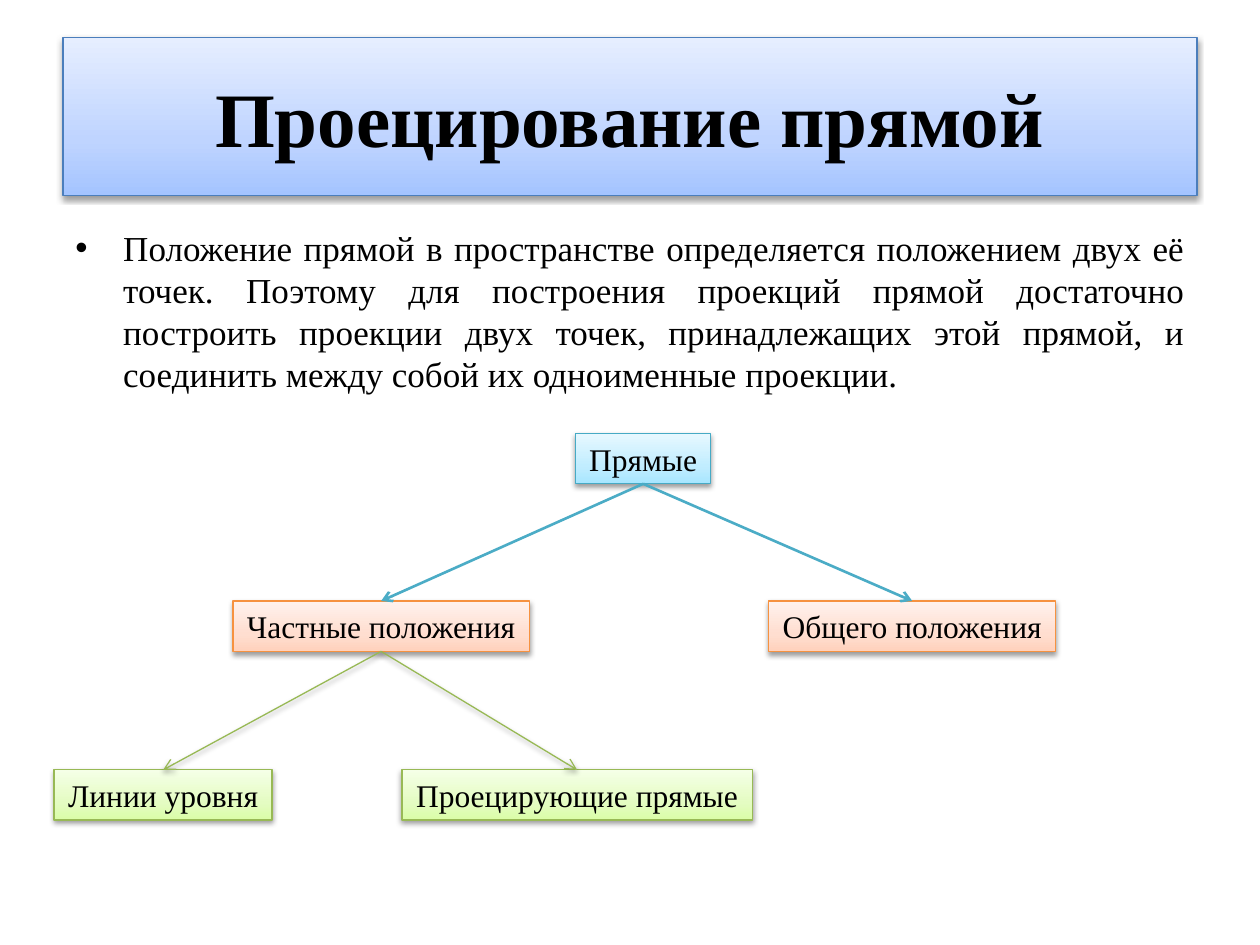
from copy import deepcopy

from lxml.etree import SubElement
from pptx import Presentation
from pptx.dml.color import RGBColor
from pptx.enum.shapes import MSO_CONNECTOR as Connector, MSO_SHAPE as Shape
from pptx.enum.text import MSO_ANCHOR as Anchor, MSO_AUTO_SIZE as AutoSize, PP_ALIGN as Align
from pptx.oxml.ns import qn
from pptx.util import Inches, Pt

# Each palette: line colour, then the gradient from bottom to top
COLORS = {
    "text": "000000",
    "blue": ["4B7EBC", "A4C4FF", "BFD4FF", "E6EEFF"],
    "aqua": ["46AAC5", "A7E6FF", "C1EDFF", "E7F8FF"],
    "orange": ["F69240", "FFD2BD", "FFDED0", "FFF2ED"],
    "green": ["98B955", "DAFDA7", "E4FCC2", "F5FFE7"],
    "aqua arrow": "4BACC6",
    "green arrow": "98B955",
}
STOPS = [0, 0.35, 1]


def add_effects(item, shadow=True):
    effects = SubElement(item._element.spPr, qn("a:effectLst"))
    if shadow:
        outer = SubElement(effects, qn("a:outerShdw"), blurRad=str(Pt(3.1)),
                           dist=str(Pt(1.6)), dir="5400000", rotWithShape="0")
        black = SubElement(outer, qn("a:srgbClr"), val=COLORS["text"])
        SubElement(black, qn("a:alpha"), val="38000")


def style_panel(panel, palette, text, size, bold=False):
    line_color, *gradient = COLORS[palette]
    panel.fill.gradient()
    panel.fill.gradient_angle = 90
    stop_list = panel._element.spPr.find(".//" + qn("a:gsLst"))
    stop_list.append(deepcopy(stop_list[0]))
    for stop, position, color in zip(panel.fill.gradient_stops, STOPS, gradient):
        stop.position = position
        stop.color.rgb = RGBColor.from_string(color)
    panel.line.color.rgb = RGBColor.from_string(line_color)
    panel.line.width = Pt(0.75)
    add_effects(panel)
    panel.text_frame.text = text
    panel.text_frame.vertical_anchor = Anchor.MIDDLE
    paragraph = panel.text_frame.paragraphs[0]
    paragraph.alignment = Align.CENTER
    font = paragraph.runs[0].font
    for name, value in {"name": "Times New Roman", "size": Pt(size), "bold": bold}.items():
        setattr(font, name, value)
    font.color.rgb = RGBColor.from_string(COLORS["text"])


prs = Presentation()
prs.slide_width, prs.slide_height = Inches(10), Inches(7.5)
slide = prs.slides.add_slide(prs.slide_layouts[5])

# Title
title = slide.shapes.title
title.left, title.top, title.width, title.height = map(Inches, (0.5, 0.3, 9, 1.25))
style_panel(title, "blue", "Проецирование прямой", 44, bold=True)

# Definition with a bullet
definition = slide.shapes.add_textbox(*map(Inches, (0.5, 1.75, 9, 1.21))).text_frame
definition.word_wrap = True
definition.text = (
    "Положение прямой в пространстве определяется положением двух её точек. "
    "Поэтому для построения проекций прямой достаточно построить проекции двух точек, "
    "принадлежащих этой прямой, и соединить между собой их одноименные проекции."
)
sentence = definition.paragraphs[0]
sentence.alignment = Align.JUSTIFY
properties = sentence._p.get_or_add_pPr()
properties.set("marL", str(Inches(0.38)))
properties.set("indent", str(Inches(-0.38)))
SubElement(properties, qn("a:buFont"), typeface="Arial")
SubElement(properties, qn("a:buChar"), char="•")
definition_font = sentence.runs[0].font
definition_font.name = "Times New Roman"
definition_font.size = Pt(20)
definition_font.color.rgb = RGBColor.from_string(COLORS["text"])

# Tree of line positions: text, left, top, width, palette
NODES = [
    ("Прямые", 4.57, 3.44, 1.07, "aqua"),
    ("Частные положения", 1.85, 4.77, 2.35, "orange"),
    ("Общего положения", 6.1, 4.77, 2.28, "orange"),
    ("Линии уровня", 0.43, 6.11, 1.73, "green"),
    ("Проецирующие прямые", 3.19, 6.11, 2.78, "green"),
]
nodes = {}
for text, left, top, width, palette in NODES:
    node = slide.shapes.add_shape(Shape.RECTANGLE, *map(Inches, (left, top, width, 0.4)))
    style_panel(node, palette, text, 18)
    node.text_frame.word_wrap = False
    node.text_frame.auto_size = AutoSize.SHAPE_TO_FIT_TEXT
    nodes[text] = node

# Arrows from parent to child: colour, width, shadow
BRANCHES = [
    ("Прямые", "Общего положения", "aqua arrow", 1.5, False),
    ("Прямые", "Частные положения", "aqua arrow", 1.5, False),
    ("Частные положения", "Проецирующие прямые", "green arrow", 0.75, True),
    ("Частные положения", "Линии уровня", "green arrow", 0.75, True),
]
for parent, child, color, width, shadow in BRANCHES:
    branch = slide.shapes.add_connector(Connector.STRAIGHT, 0, 0, 0, 0)
    branch.begin_connect(nodes[parent], 2)
    branch.end_connect(nodes[child], 0)
    branch.line.color.rgb = RGBColor.from_string(COLORS[color])
    branch.line.width = Pt(width)
    SubElement(branch.line._get_or_add_ln(), qn("a:tailEnd"), type="arrow")
    add_effects(branch, shadow)

prs.save("out.pptx")
